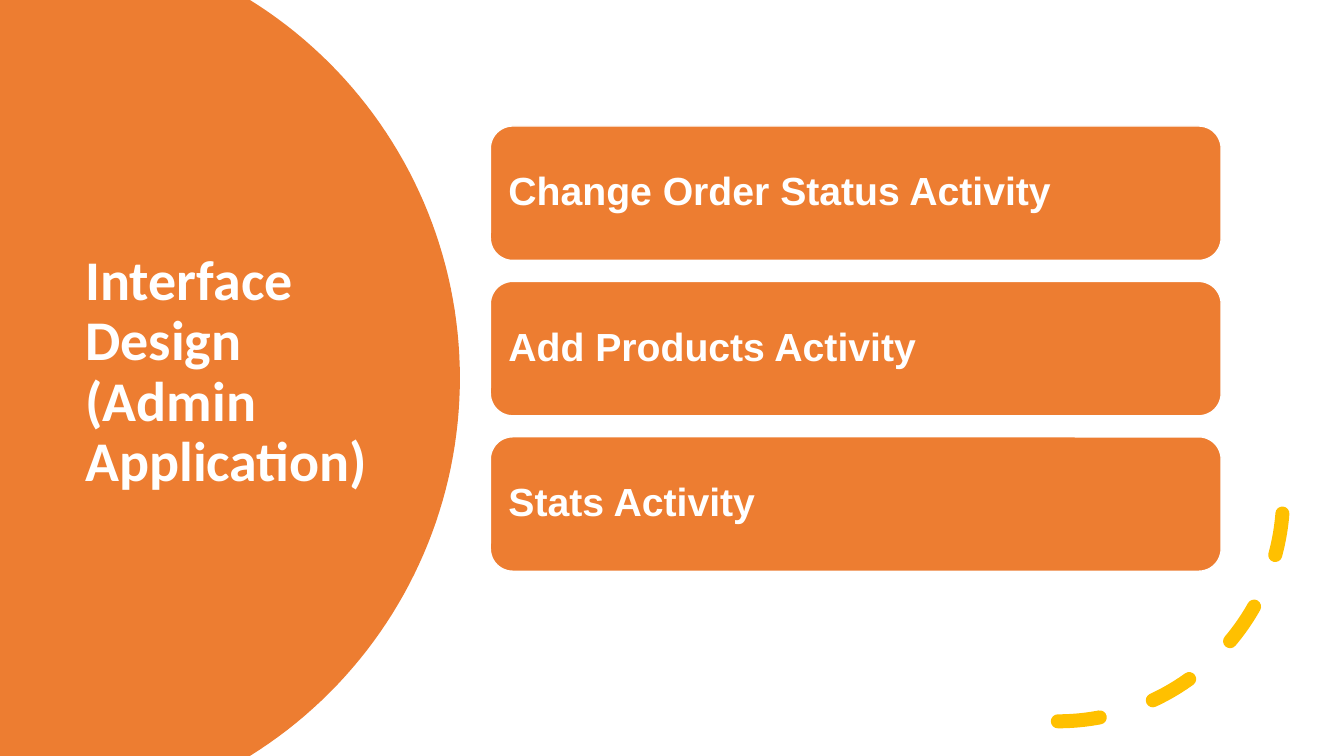
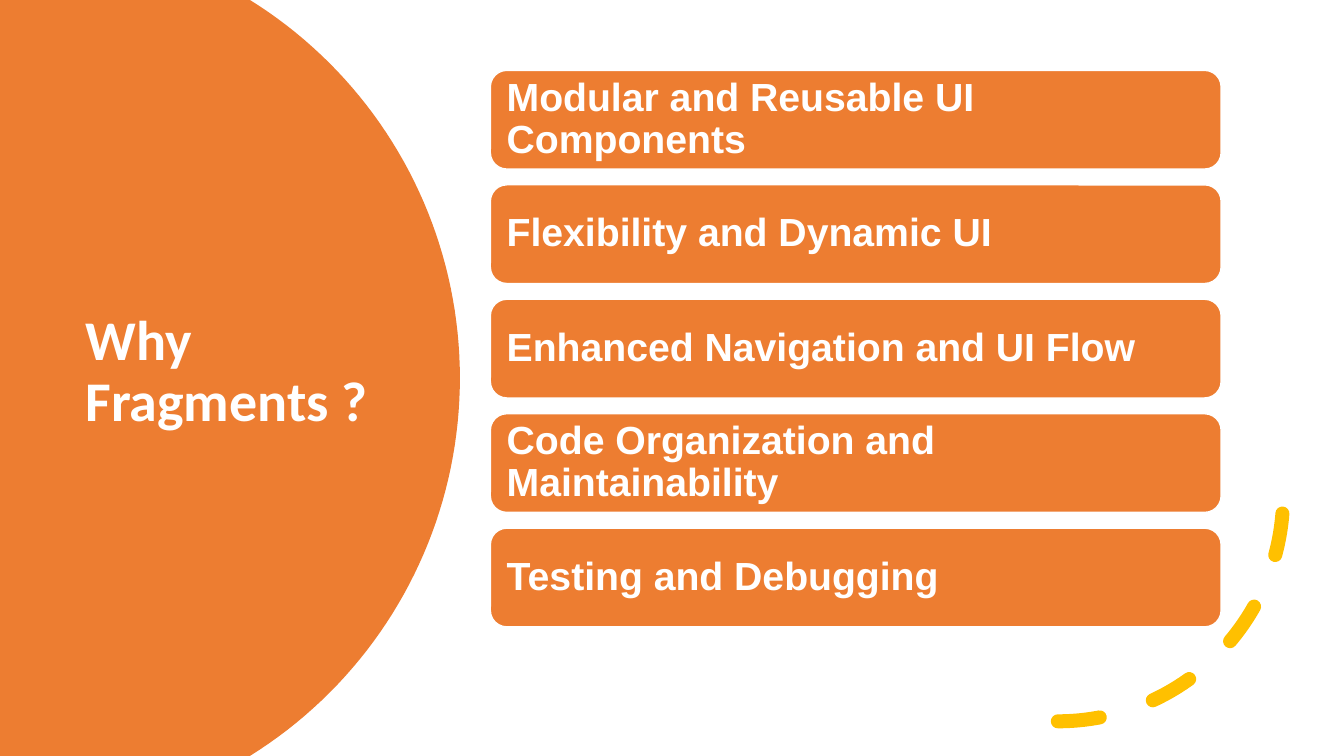
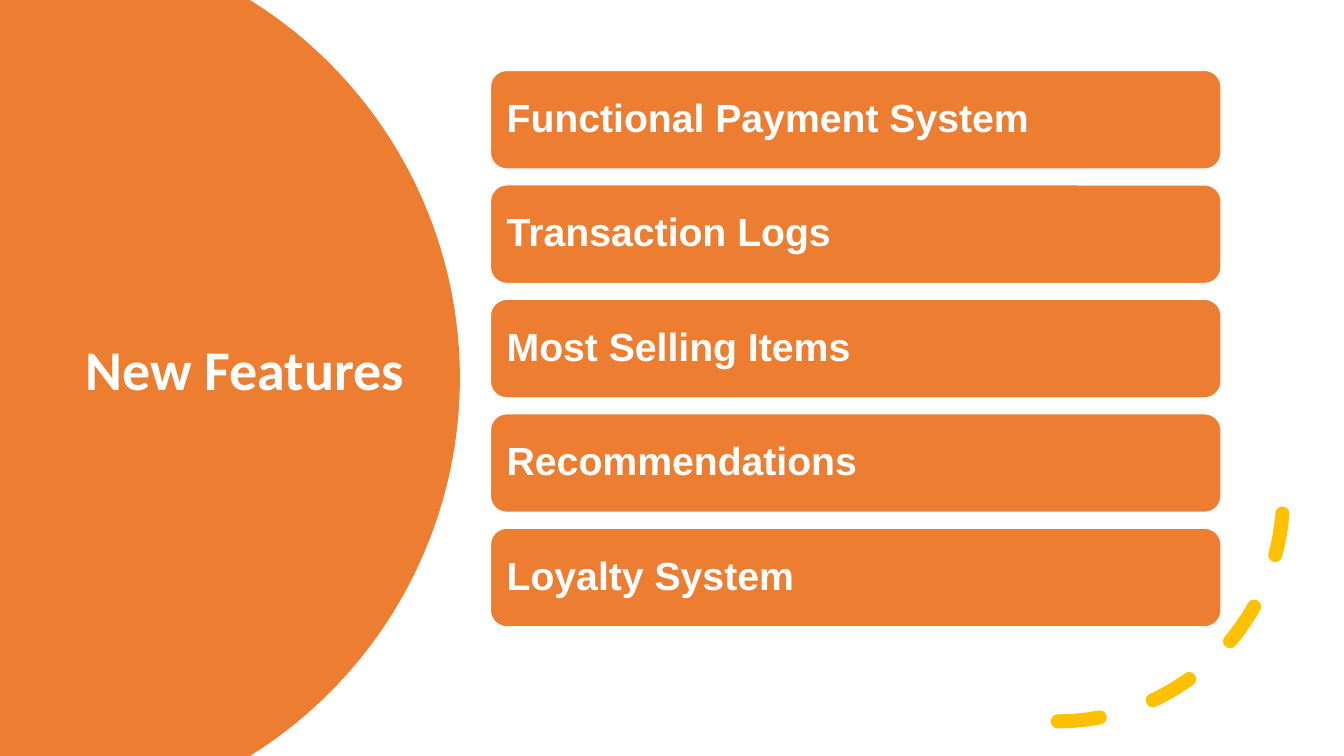
from math import asin, cos, sin

from pptx import Presentation
from pptx.dml.color import RGBColor
from pptx.enum.dml import MSO_LINE
from pptx.enum.shapes import MSO_SHAPE
from pptx.enum.text import MSO_ANCHOR, PP_ALIGN
from pptx.oxml.ns import qn
from pptx.util import Pt

ARC, ROUND = MSO_SHAPE.ARC, MSO_SHAPE.ROUNDED_RECTANGLE
DASH, MIDDLE, LEFT = MSO_LINE.DASH, MSO_ANCHOR.MIDDLE, PP_ALIGN.LEFT

# Content: title, bar height, gap between bars, bar texts
SLIDES = [
    ("Interface Design (Admin Application)", 128, 20, [
        "Change Order Status Activity",
        "Add Products Activity",
        "Stats Activity",
    ]),
    ("Why Fragments ?", 94, 15, [
        "Modular and Reusable UI Components",
        "Flexibility and Dynamic UI",
        "Enhanced Navigation and UI Flow",
        "Code Organization and Maintainability",
        "Testing and Debugging",
    ]),
    ("New Features", 94, 15, [
        "Functional Payment System",
        "Transaction Logs",
        "Most Selling Items",
        "Recommendations",
        "Loyalty System",
    ]),
]

# Shared style, lengths in px
PX = 9525
WIDE, HIGH = 1280, 720
COLORS = {"panel": "ED7D31", "arc": "FFC000", "white": "FFFFFF"}
TITLE = {"name": "Calibri", "size": Pt(40), "bold": True}
LABEL = {"name": "Arial", "size": Pt(28), "bold": True}
TITLE_BOX = (72, 121, 336, 468)
ARC_BOX = (793, 258, 429, 429)
BAR_X, BAR_W, BAR_MID = 467, 696, 332
INSET = 11
DISC_X, DISC_R, STEPS = 14, 424, 80


def emu(*sizes):
    return [round(size * PX) for size in sizes]


def color(name):
    return RGBColor.from_string(COLORS[name])


def paint(shape, name):
    shape.shadow.inherit = False
    shape.fill.solid()
    shape.fill.fore_color.rgb = color(name)


def write(shape, text, style):
    frame = shape.text_frame
    frame.word_wrap = True
    frame.vertical_anchor = MIDDLE
    para = frame.paragraphs[0]
    para.alignment = LEFT
    para.line_spacing = 0.9
    run = para.add_run()
    run.text = text
    for key, value in style.items():
        setattr(run.font, key, value)
    run.font.color.rgb = color("white")


def add_panel(slide):
    # Part of a disc, cut off by the slide edges
    half = asin(HIGH / 2 / DISC_R)
    turns = [half * (2 * i / STEPS - 1) for i in range(STEPS + 1)]
    rim = [(DISC_X + DISC_R * cos(t), HIGH / 2 + DISC_R * sin(t)) for t in turns]
    form = slide.shapes.build_freeform(0, 0, scale=1)
    form.add_line_segments([emu(*dot) for dot in rim + [(0, HIGH)]], close=True)
    panel = form.convert_to_shape()
    paint(panel, "panel")
    panel.line.fill.background()


def add_arc(slide):
    arc = slide.shapes.add_shape(ARC, *emu(*ARC_BOX))
    arc.shadow.inherit = False
    arc.fill.background()
    arc.line.color.rgb = color("arc")
    arc.line.width = Pt(10)
    arc.line.dash_style = DASH
    props = arc._element.spPr
    props.find(qn("a:xfrm")).set("flipV", "1")
    props.find(qn("a:ln")).set("cap", "rnd")


def add_bars(slide, labels, high, gap):
    # Stack centred on one height
    count = len(labels)
    top = BAR_MID - (count * high + (count - 1) * gap) / 2
    for i, label in enumerate(labels):
        box = emu(BAR_X, top + i * (high + gap), BAR_W, high)
        bar = slide.shapes.add_shape(ROUND, *box)
        paint(bar, "panel")
        bar.line.color.rgb = color("white")
        bar.line.width = Pt(1)
        for side in ("left", "top", "right", "bottom"):
            setattr(bar.text_frame, "margin_" + side, INSET * PX)
        write(bar, label, LABEL)


def main():
    deck = Presentation()
    deck.slide_width, deck.slide_height = emu(WIDE, HIGH)
    for title, high, gap, labels in SLIDES:
        slide = deck.slides.add_slide(deck.slide_layouts[6])
        add_panel(slide)
        write(slide.shapes.add_textbox(*emu(*TITLE_BOX)), title, TITLE)
        add_arc(slide)
        add_bars(slide, labels, high, gap)
    deck.save("out.pptx")


if __name__ == "__main__":
    main()
